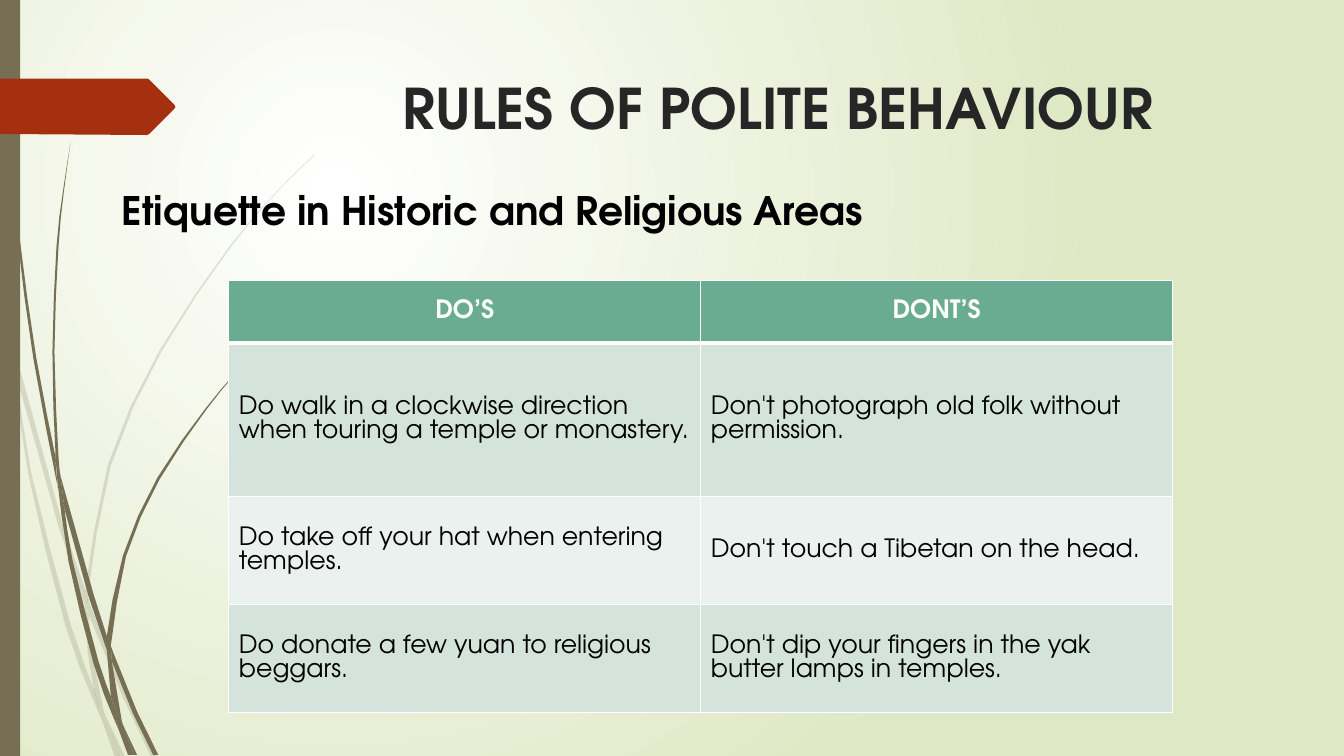
import pptx
import pptx.util
import pptx.dml.color
import pptx.enum.shapes
import pptx.enum.text
import pptx.oxml.ns
from lxml import etree

PX = 9144
FONT = "TeX Gyre Adventor"
WHITE = pptx.dml.color.RGBColor(0xFF, 0xFF, 0xFF)
BLACK = pptx.dml.color.RGBColor(0x00, 0x00, 0x00)
CHARCOAL = pptx.dml.color.RGBColor(0x26, 0x26, 0x26)
PALE_GREEN = pptx.dml.color.RGBColor(0xDF, 0xE8, 0xC4)
OLIVE = pptx.dml.color.RGBColor(0x76, 0x6F, 0x54)
RUST = pptx.dml.color.RGBColor(0xA5, 0x30, 0x10)
HEADER_GREEN = pptx.dml.color.RGBColor(0x6A, 0xAC, 0x91)
BANDS = [pptx.dml.color.RGBColor(0xEB, 0xF1, 0xEE), pptx.dml.color.RGBColor(0xD4, 0xE3, 0xDC)]
CENTER = pptx.enum.text.PP_ALIGN.CENTER
LEFT = pptx.enum.text.PP_ALIGN.LEFT

FAINT_BLADES = [
    ([(11, 350), (9, 322), (0, 282)], [(0, 299), (10, 344), (11, 350)]),
    ([(17, 376), (58, 522), (84, 599)], [(85, 586), (62, 520), (14, 345)]),
    ([(88, 596), (88, 610), (123, 694), (150, 751)], [(155, 751), (127, 692), (92, 607), (88, 596)]),
    ([(119, 751), (124, 751)], [(105, 711), (119, 751)]),
    ([(11, 350), (28, 470), (65, 621), (92, 693), (101, 714)],
     [(99, 707), (93, 683), (70, 619), (31, 469), (17, 376), (11, 350)]),
    ([(84, 599), (87, 646), (93, 683), (96, 692), (105, 711)],
     [(103, 706), (91, 646), (88, 610), (84, 599)]),
    ([(88, 596), (88, 584), (110, 462), (160, 349), (229, 245), (268, 198), (290, 175), (312, 154)],
     [(312, 153), (289, 175), (268, 197), (228, 244), (158, 348), (107, 461), (85, 584), (85, 586)]),
    ([(101, 714), (114, 751)], [(119, 751), (101, 714)]),
    ([(88, 608), (88, 610), (88, 596)], [(85, 586), (84, 599), (88, 608)]),
    ([(93, 683), (99, 707), (101, 714), (119, 751)], [(105, 711), (96, 692), (93, 683)]),
]
DARK_BLADES = [
    ([(3, 0), (4, 48), (7, 110), (17, 233), (33, 355), (56, 477), (57, 481)],
     [(55, 457), (55, 453), (36, 355), (19, 232), (8, 109), (5, 48), (4, 0)]),
    ([(60, 472), (64, 505), (88, 592), (106, 645)], [(106, 633), (106, 631), (93, 590), (60, 472)]),
    ([(110, 641), (111, 656), (132, 708), (152, 749)], [(157, 749), (136, 706), (113, 649), (110, 641)]),
    ([(57, 477), (68, 557), (93, 659), (111, 708), (117, 722)],
     [(116, 717), (110, 691), (98, 657), (72, 556), (64, 505), (57, 477)]),
    ([(60, 472), (58, 453), (54, 349), (58, 245), (63, 193), (70, 141)],
     [(70, 141), (62, 193), (56, 245), (52, 349), (55, 449), (60, 472)]),
    ([(133, 749), (136, 749)], [(122, 719), (133, 749)]),
    ([(57, 477), (64, 505)], [(60, 472), (55, 449), (55, 453), (57, 477)]),
    ([(110, 641), (111, 633), (125, 552), (158, 476), (205, 406), (231, 374), (245, 359), (261, 344)],
     [(260, 344), (245, 358), (231, 373), (204, 405), (156, 474), (122, 551), (106, 631), (110, 641)]),
    ([(117, 722), (127, 749)], [(131, 749), (117, 722)]),
    ([(106, 645), (110, 691), (116, 706), (122, 719)], [(121, 716), (111, 656), (109, 651), (106, 645)]),
    ([(106, 645), (109, 651), (111, 656)], [(110, 641), (106, 631), (106, 645)]),
    ([(110, 691), (116, 717), (117, 722), (130, 749)], [(133, 749), (122, 719), (116, 706), (110, 691)]),
]
TAG = [(173, 108), (148, 133), (146, 134), (0, 133), (0, 78), (146, 78), (148, 79), (173, 104), (174, 106)]
RULES = [
    ("DO’S", "DONT’S"),
    ("Do walk in a clockwise direction when touring a temple or monastery.",
     "Don't photograph old folk without permission."),
    ("Do take off your hat when entering temples.", "Don't touch a Tibetan on the head."),
    ("Do donate a few yuan to religious beggars.",
     "Don't dip your fingers in the yak butter lamps in temples."),
]
ROW_HEIGHTS = [62, 153, 107, 107]


def px(*lengths):
    return [pptx.util.Emu(round(length * PX)) for length in lengths]


def smooth_edge(knots):
    if len(knots) < 5:
        return knots
    padded = [knots[0], *knots, knots[-1]]
    points = [knots[0]]
    for a, b, c, d in zip(padded, padded[1:], padded[2:], padded[3:]):
        middle = tuple((9 * (q + r) - p - s) / 16 for p, q, r, s in zip(a, b, c, d))
        points += [middle, c]
    return points


def paint(shape, color):
    shape.shadow.inherit = False
    shape.fill.solid()
    shape.fill.fore_color.rgb = color
    shape.line.fill.background()


def add_outline(slide, points, color):
    start, *rest = [tuple(px(*point)) for point in points]
    builder = slide.shapes.build_freeform(*start, scale=1.0)
    builder.add_line_segments(rest, close=True)
    shape = builder.convert_to_shape()
    paint(shape, color)
    return shape


def add_blade(slide, outward, back, opacity):
    blade = add_outline(slide, smooth_edge(outward) + smooth_edge(back), OLIVE)
    if opacity < 100:
        color = blade.element.spPr.find(".//" + pptx.oxml.ns.qn("a:srgbClr"))
        etree.SubElement(color, pptx.oxml.ns.qn("a:alpha"), val=str(opacity * 1000))


def set_background(slide):
    fill = slide.background.fill
    fill.gradient()
    for stop, color in zip(fill.gradient_stops, (WHITE, PALE_GREEN)):
        stop.color.rgb = color
    linear = next(slide.element.iter(pptx.oxml.ns.qn("a:lin")))
    circle = etree.Element(pptx.oxml.ns.qn("a:path"), path="circle")
    etree.SubElement(circle, pptx.oxml.ns.qn("a:fillToRect"), l="50000", t="50000", r="100000", b="100000")
    linear.getparent().replace(linear, circle)


def write(frame, text, size, color, bold, align):
    frame.text = text
    para = frame.paragraphs[0]
    para.alignment = align
    font = para.runs[0].font
    font.name, font.size, font.bold = FONT, pptx.util.Pt(size), bold
    font.color.rgb = color


def place_title(slide, text):
    title = slide.shapes.title
    title.left, title.top, title.width, title.height = px(284, 68, 975, 140)
    frame = title.text_frame
    frame.auto_size = pptx.enum.text.MSO_AUTO_SIZE.NONE
    frame.vertical_anchor = pptx.enum.text.MSO_ANCHOR.TOP
    write(frame, text, 40, CHARCOAL, True, CENTER)


def add_heading(slide, text):
    frame = slide.shapes.add_textbox(*px(111, 180, 983, 57)).text_frame
    frame.word_wrap = True
    frame.auto_size = pptx.enum.text.MSO_AUTO_SIZE.SHAPE_TO_FIT_TEXT
    write(frame, text, 28, BLACK, True, LEFT)


def set_borders(cell, top, bottom):
    properties = cell._tc.get_or_add_tcPr()
    for index, (side, points) in enumerate([("L", 1), ("R", 1), ("T", top), ("B", bottom)]):
        line = etree.Element(pptx.oxml.ns.qn("a:ln" + side), w=str(pptx.util.Pt(points)))
        fill = etree.SubElement(line, pptx.oxml.ns.qn("a:solidFill"))
        etree.SubElement(fill, pptx.oxml.ns.qn("a:srgbClr"), val=str(WHITE))
        properties.insert(index, line)


def add_rules_table(slide):
    table = slide.shapes.add_table(len(RULES), 2, *px(227, 278, 936, sum(ROW_HEIGHTS))).table
    for column in table.columns:
        column.width = px(468)[0]
    for index, (row, texts) in enumerate(zip(table.rows, RULES)):
        row.height = px(ROW_HEIGHTS[index])[0]
        header = index == 0
        for cell, text in zip(row.cells, texts):
            cell.fill.solid()
            cell.fill.fore_color.rgb = HEADER_GREEN if header else BANDS[index % 2]
            cell.vertical_anchor = pptx.enum.text.MSO_ANCHOR.MIDDLE
            write(cell.text_frame, text, 18, WHITE if header else BLACK, header, CENTER if header else LEFT)
            set_borders(cell, 3 if index == 1 else 1, 3 if header else 1)


def main():
    deck = pptx.Presentation()
    deck.slide_width, deck.slide_height = px(1333, 750)
    slide = deck.slides.add_slide(deck.slide_layouts[5])
    set_background(slide)
    for blades, opacity in ((FAINT_BLADES, 20), (DARK_BLADES, 100)):
        for outward, back in blades:
            add_blade(slide, outward, back, opacity)
    paint(slide.shapes.add_shape(pptx.enum.shapes.MSO_SHAPE.RECTANGLE, *px(0, 0, 20, 750)), OLIVE)
    add_outline(slide, TAG, RUST)
    place_title(slide, "RULES OF POLITE BEHAVIOUR")
    add_heading(slide, "Etiquette in Historic and Religious Areas")
    add_rules_table(slide)
    deck.save("out.pptx")


if __name__ == "__main__":
    main()
